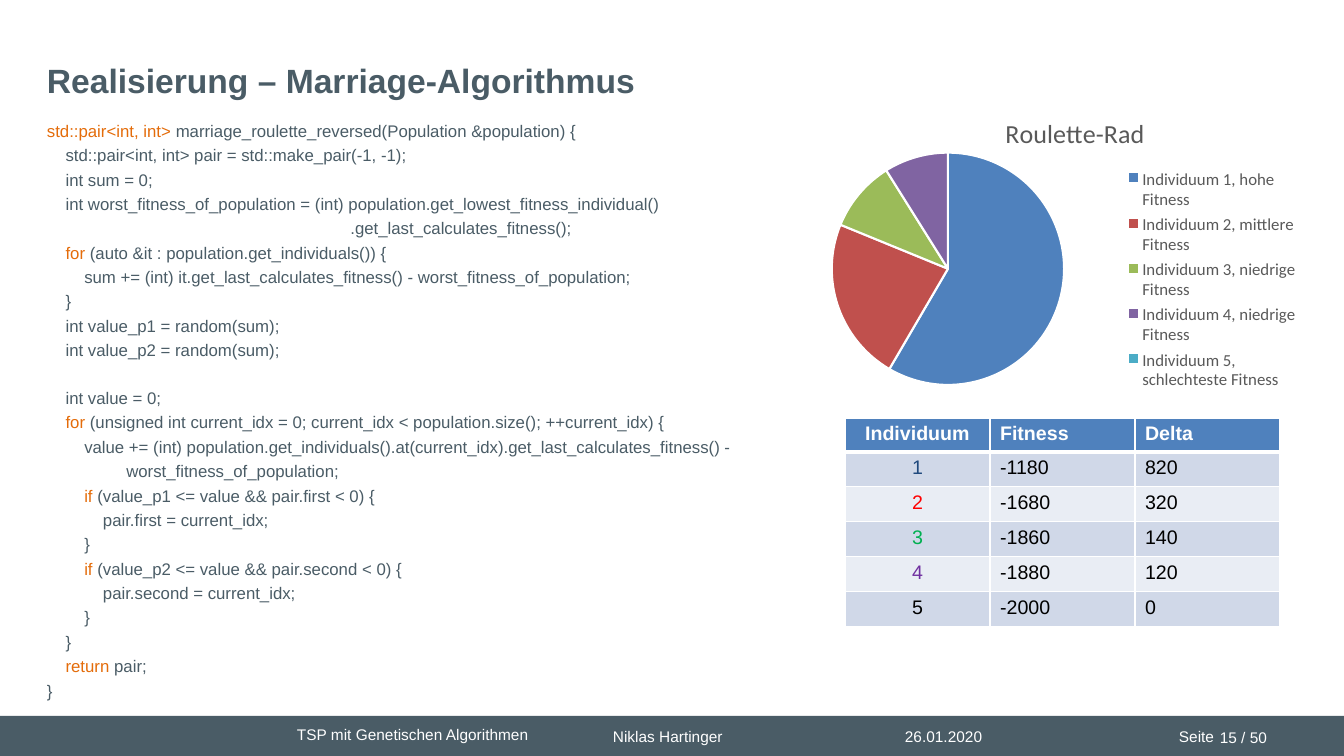
from lxml import etree
from pptx import Presentation
from pptx.chart.data import CategoryChartData
from pptx.dml.color import RGBColor
from pptx.enum.chart import XL_CHART_TYPE, XL_LEGEND_POSITION
from pptx.enum.shapes import MSO_SHAPE
from pptx.enum.text import MSO_ANCHOR, PP_ALIGN
from pptx.oxml.ns import qn
from pptx.util import Pt

PIE = XL_CHART_TYPE.PIE
RIGHT = XL_LEGEND_POSITION.RIGHT
RECT = MSO_SHAPE.RECTANGLE
TOP, MIDDLE = MSO_ANCHOR.TOP, MSO_ANCHOR.MIDDLE
LEFT, CENTER = PP_ALIGN.LEFT, PP_ALIGN.CENTER

EMU_PER_PX = 914400 / 100.8
SPACE_PT = 3.335  # width of one space in 12 pt Arial
CODE_GAP, CODE_PITCH = 3, 16.8

COLORS = {
    "slate": "4A5C66", "white": "FFFFFF", "orange": "E46C0A", "black": "000000",
    "gray": "595959", "blue": "4F81BD", "red": "C0504D", "green": "9BBB59",
    "purple": "8064A2", "teal": "4BACC6", "band_dark": "D0D8E8",
    "band_light": "E9EDF4", "navy": "1F497D", "bright_red": "FF0000",
    "bright_green": "00B050", "violet": "7030A0",
}

FOOTER = [
    (603, 722, 144, "Niklas Hartinger", LEFT),
    (1169, 722, 68, "Seite", LEFT),
    (1190, 723, 107, "15 / 50", CENTER),
    (287, 720, 266, "TSP mit Genetischen Algorithmen", LEFT),
    (895, 722, 98, "26.01.2020", LEFT),
]

# indent in spaces, highlighted start, rest of the line, blank lines above
CODE = [
    (0, "std::pair<int, int>", " marriage_roulette_reversed(Population &population) {", 0),
    (4, "", "std::pair<int, int> pair = std::make_pair(-1, -1);", 0),
    (4, "", "int sum = 0;", 0),
    (4, "", "int worst_fitness_of_population = (int) population.get_lowest_fitness_individual()", 0),
    (65, "", ".get_last_calculates_fitness();", 0),
    (4, "for", " (auto &it : population.get_individuals()) {", 0),
    (8, "", "sum += (int) it.get_last_calculates_fitness() - worst_fitness_of_population;", 0),
    (4, "", "}", 0),
    (4, "", "int value_p1 = random(sum);", 0),
    (4, "", "int value_p2 = random(sum);", 0),
    (4, "", "int value = 0;", 1),
    (4, "for", " (unsigned int current_idx = 0; current_idx < population.size(); ++current_idx) {", 0),
    (8, "", "value += (int) population.get_individuals().at(current_idx).get_last_calculates_fitness() -", 0),
    (17, "", "worst_fitness_of_population;", 0),
    (8, "if", " (value_p1 <= value && pair.first < 0) {", 0),
    (12, "", "pair.first = current_idx;", 0),
    (8, "", "}", 0),
    (8, "if", " (value_p2 <= value && pair.second < 0) {", 0),
    (12, "", "pair.second = current_idx;", 0),
    (8, "", "}", 0),
    (4, "", "}", 0),
    (4, "return", " pair;", 0),
    (0, "", "}", 0),
]

WHEEL = [
    ("Individuum 1, hohe Fitness", 59, "blue"),
    ("Individuum 2, mittlere Fitness", 23, "red"),
    ("Individuum 3, niedrige Fitness", 10, "green"),
    ("Individuum 4, niedrige Fitness", 9, "purple"),
    ("Individuum 5, schlechteste Fitness", 0, "teal"),
]

FITNESS_ROWS = [
    ("Individuum", "Fitness", "Delta"),
    ("1", "-1180", "820"),
    ("2", "-1680", "320"),
    ("3", "-1860", "140"),
    ("4", "-1880", "120"),
    ("5", "-2000", "0"),
]
NUMBER_COLORS = ["white", "navy", "bright_red", "bright_green", "violet", "black"]


def px(n):
    return round(n * EMU_PER_PX)


def rgb(name):
    return RGBColor.from_string(COLORS[name])


def place(element, index, **fractions):
    """Give a chart part a manual layout in fractions of the chart."""
    for old in element.findall(qn("c:layout")):
        element.remove(old)
    layout = etree.Element(qn("c:layout"))
    manual = etree.SubElement(layout, qn("c:manualLayout"))
    if "w" in fractions:
        etree.SubElement(manual, qn("c:layoutTarget"), val="inner")
    for axis in "xy":
        etree.SubElement(manual, qn(f"c:{axis}Mode"), val="edge")
    for key, value in fractions.items():
        etree.SubElement(manual, qn(f"c:{key}"), val=str(value))
    element.insert(index, layout)


def border(cell, side, width):
    ln = etree.SubElement(cell._tc.get_or_add_tcPr(), qn(f"a:ln{side}"), w=str(Pt(width)))
    fill = etree.SubElement(ln, qn("a:solidFill"))
    etree.SubElement(fill, qn("a:srgbClr"), val=COLORS["white"])


class Deck:
    def __init__(self, font):
        self.font = font
        self.prs = Presentation()
        self.prs.slide_width, self.prs.slide_height = px(1344), px(756)
        self.s = self.prs.slides.add_slide(self.prs.slide_layouts[6])

    def run(self, p, text, size, color, bold=False):
        r = p.add_run()
        r.text = text
        r.font.name, r.font.size, r.font.bold = self.font, Pt(size), bold
        r.font.color.rgb = rgb(color)

    def rect(self, x, y, w, h, color):
        sp = self.s.shapes.add_shape(RECT, px(x), px(y), px(w), px(h))
        sp.shadow.inherit = False
        sp.fill.solid()
        sp.fill.fore_color.rgb = rgb(color)
        sp.line.fill.background()

    def box(self, x, y, w, h, anchor=TOP):
        sp = self.s.shapes.add_textbox(px(x), px(y), px(w), px(h))
        tf = sp.text_frame
        tf.word_wrap, tf.vertical_anchor = True, anchor
        return tf

    def text(self, x, y, w, h, text, size, color, bold=False, align=LEFT):
        p = self.box(x, y, w, h).paragraphs[0]
        p.alignment = align
        self.run(p, text, size, color, bold)

    def code(self, x, y, w, h, lines):
        tf = self.box(x, y, w, h, MIDDLE)
        for i, (spaces, keyword, rest, blanks) in enumerate(lines):
            p = tf.add_paragraph() if i else tf.paragraphs[0]
            p.space_before = Pt(CODE_GAP + blanks * CODE_PITCH)
            p._p.get_or_add_pPr().set("marL", str(Pt(spaces * SPACE_PT)))
            if keyword:
                self.run(p, keyword, 12, "orange")
            self.run(p, rest, 12, "slate")

    def pie(self, x, y, w, h, title, slices):
        data = CategoryChartData()
        data.categories = [name for name, _, _ in slices]
        data.add_series("Series 1", [value for _, value, _ in slices])
        chart = self.s.shapes.add_chart(PIE, px(x), px(y), px(w), px(h), data).chart
        chart.font.name, chart.font.size = "Calibri", Pt(12)
        chart.font.color.rgb = rgb("gray")

        chart.has_title = True
        p = chart.chart_title.text_frame.paragraphs[0]
        r = p.add_run()
        r.text = title
        r.font.name, r.font.size, r.font.bold = "Calibri", Pt(18.6), False
        r.font.color.rgb = rgb("gray")

        chart.has_legend = True
        chart.legend.position = RIGHT
        chart.legend.include_in_layout = False

        plot = chart.plots[0]
        plot.vary_by_categories = True
        for i, (_, _, color) in enumerate(slices):
            fmt = plot.series[0].points[i].format
            fmt.fill.solid()
            fmt.fill.fore_color.rgb = rgb(color)
            fmt.line.color.rgb = rgb("white")
            fmt.line.width = Pt(1.5)

        place(chart.chart_title._element, 1, x=0.42, y=0.08)
        place(chart._chartSpace.chart.plotArea, 0, x=0.1, y=0.21, w=0.44, h=0.74)
        place(chart.legend._element, 1, x=0.65, y=0.25, w=0.34, h=0.73)

    def table(self, x, y, col_w, header_h, row_h, rows, first_colors):
        n, cols = len(rows), len(rows[0])
        height = header_h + (n - 1) * row_h
        table = self.s.shapes.add_table(n, cols, px(x), px(y), px(cols * col_w), px(height)).table
        for col in table.columns:
            col.width = px(col_w)
        for i, values in enumerate(rows):
            header = i == 0
            table.rows[i].height = px(header_h if header else row_h)
            band = "blue" if header else "band_dark" if i % 2 else "band_light"
            for j, value in enumerate(values):
                cell = table.cell(i, j)
                for side in "LRTB":
                    thick = (header and side == "B") or (i == 1 and side == "T")
                    border(cell, side, 3 if thick else 1)
                cell.fill.solid()
                cell.fill.fore_color.rgb = rgb(band)
                p = cell.text_frame.paragraphs[0]
                p.alignment = LEFT if j else CENTER
                color = first_colors[i] if header or j == 0 else "black"
                self.run(p, value, 14, color, header)


def main():
    deck = Deck("Arial")
    deck.rect(0, 716, 1344, 40, "slate")
    for x, y, w, text, align in FOOTER:
        deck.text(x, y, w, 29, text, 11, "white", align=align)
    deck.text(37, 55, 1111, 83, "Realisierung – Marriage-Algorithmus", 24, "slate", True)
    deck.code(37, 114, 710, 593, CODE)
    deck.pie(779, 85, 528, 317, "Roulette-Rad", WHEEL)
    deck.table(845, 418, 145, 33, 35, FITNESS_ROWS, NUMBER_COLORS)
    deck.prs.save("out.pptx")


if __name__ == "__main__":
    main()
